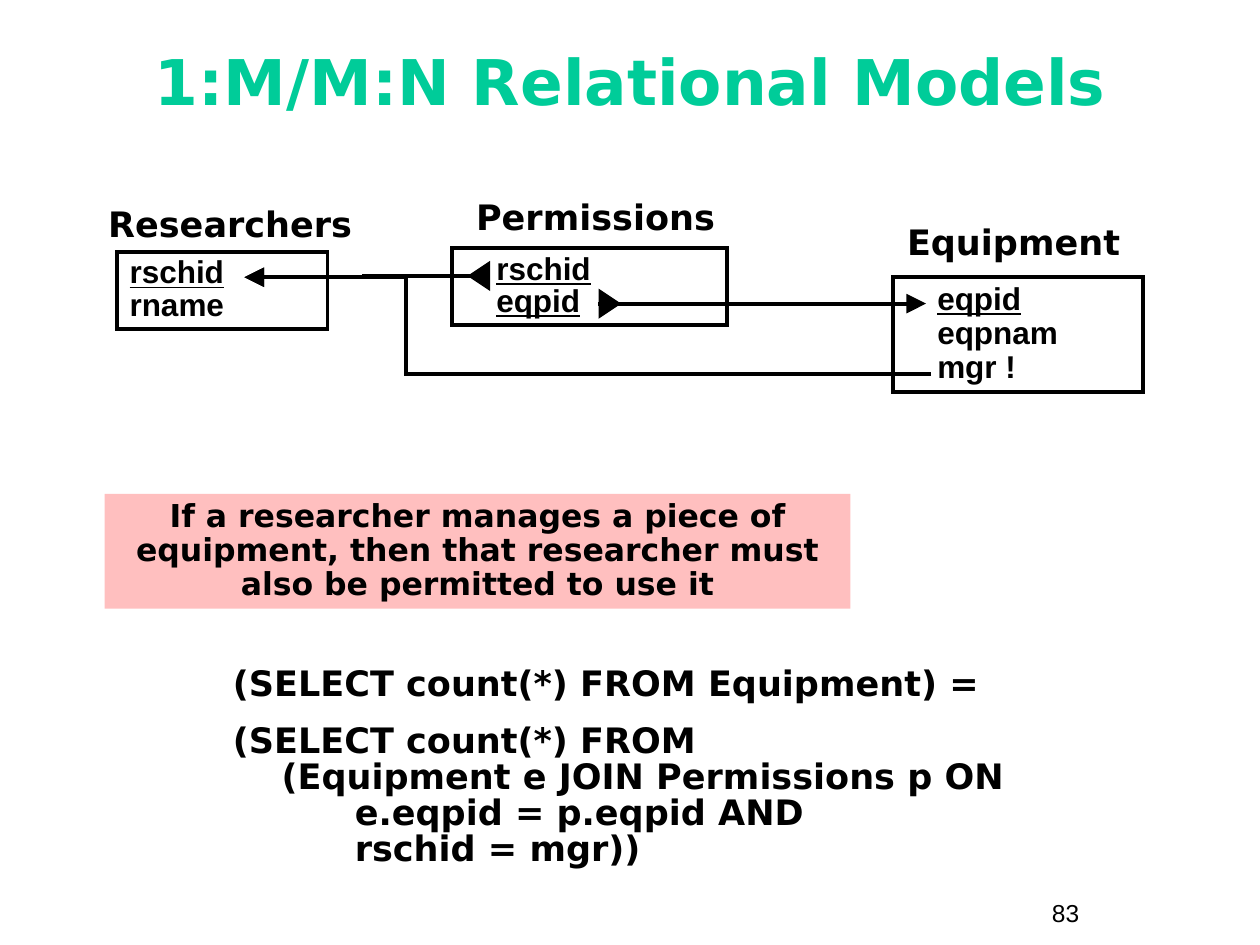
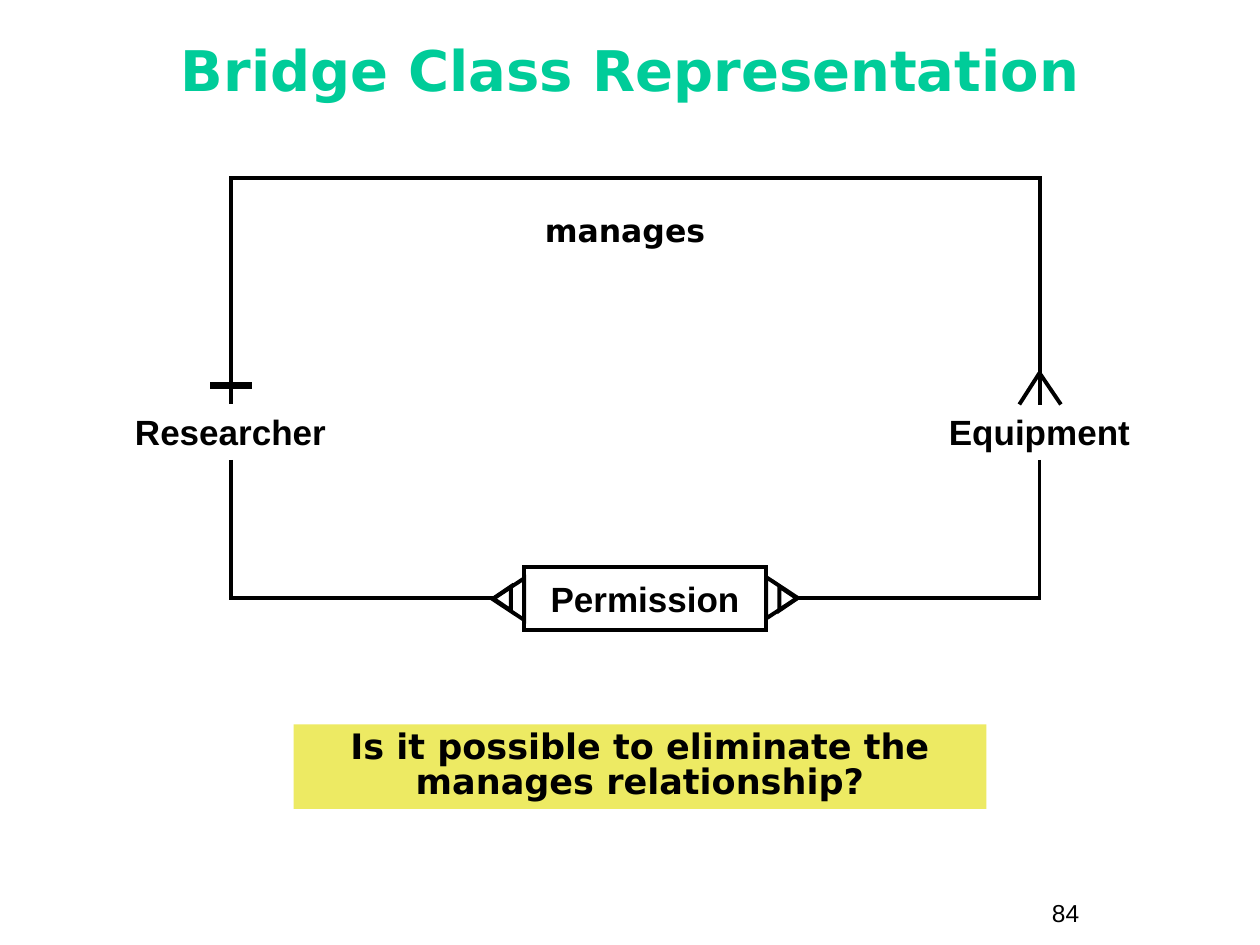
from lxml.etree import SubElement
from pptx import Presentation
from pptx.dml.color import RGBColor
from pptx.enum.shapes import MSO_CONNECTOR, MSO_SHAPE
from pptx.enum.text import MSO_ANCHOR, PP_ALIGN
from pptx.oxml.ns import qn
from pptx.util import Inches, Pt

BLACK, GREEN, PINK, YELLOW = "000000", "00CC99", "FFBFBF", "EDEA63"
SANS, DISPLAY = "Arial", "DejaVu Sans"
LINE_WIDTH = 2.25
KEYS = {"rschid", "eqpid"}

RELATIONS = [
    ("Researchers", (0.76, 1.56, 2.15, 0.44), (0.93, 2, 1.67, 0.61), 0, 0.85, ["rschid", "rname"]),
    ("Permissions", (3.68, 1.5, 2.51, 0.44), (3.59, 1.97, 2.18, 0.61), 0.25, 0.85, ["rschid", "eqpid"]),
    ("Equipment", (7.1, 1.7, 2.15, 0.44), (7.09, 2.2, 1.98, 0.91), 0.25, 0.9, ["eqpid", "eqpnam", "mgr !"]),
]
REFERENCES = [
    {"preset": "bentConnector3", "box": (1.94, 2.19, 1.9, 0.01), "rotation": 180, "flip": "flipV", "bend": 0.5},
    {"preset": "bentConnector2", "box": (4.75, 2.41, 2.6, 0)},
    {"preset": "bentConnector3", "box": (1.94, 2.2, 5.45, 0.77), "rotation": 180, "bend": 0.765},
]
REFERENCE_STARTS = [((3.68, 2.1, 0.24, 0.18), 270), ((4.72, 2.32, 0.24, 0.18), 90)]
RULE = "If a researcher manages a piece of equipment, then that researcher must also be permitted to use it"
QUERY = [
    "(SELECT count(*) FROM Equipment) =",
    "(SELECT count(*) FROM\v"
    "    (Equipment e JOIN Permissions p ON\v"
    "          e.eqpid = p.eqpid AND\v"
    "          rschid = mgr))",
]

LEFT, RIGHT = 1.83, 8.25
NAME_TOP, NAME_HEIGHT = 3.21, 0.44
CLASSES = [("Researcher", LEFT, 2), ("Equipment", RIGHT, 1.84)]
ASSOCIATIONS = [
    {"preset": "bentConnector3", "box": (5.04, 0, 0.01, 6.42), "rotation": 270, "flip": "flipH", "bend": -182},
    {"preset": "bentConnector2", "box": (2.32, 3.16, 1.1, 2.08), "rotation": 270, "flip": "flipH"},
    {"preset": "bentConnector2", "box": (6.74, 3.24, 1.1, 1.92), "rotation": 90},
]
CROW_FOOT_TOP = (RIGHT, 2.96)
CROW_FOOT_ENDS = [(RIGHT - 0.16, NAME_TOP), (RIGHT + 0.17, NAME_TOP)]
ONE_MARK = [(LEFT - 0.16, 3.06), (LEFT + 0.17, 3.06)]
MANY_MARKS = [
    ((6.04, 4.62, 0.33, 0.25), 90),
    ((6.16, 4.68, 0.19, 0.14), 90),
    ((3.87, 4.63, 0.33, 0.25), 270),
    ((3.89, 4.68, 0.19, 0.14), 270),
]
QUESTION = "Is it possible to eliminate the manages relationship?"


def color(value):
    return RGBColor.from_string(value)


def write(shape, lines, size, font=DISPLAY, ink=BLACK, bold=True, align=PP_ALIGN.LEFT,
          spacing=1.0, gap=0, indent=0, anchor=MSO_ANCHOR.TOP, keys=()):
    frame = shape.text_frame
    frame.text = "\n".join(lines)
    frame.word_wrap = True
    frame.vertical_anchor = anchor
    for index, paragraph in enumerate(frame.paragraphs):
        paragraph.alignment = align
        paragraph.line_spacing = spacing
        if index:
            paragraph.space_before = Pt(gap)
        if indent:
            properties = paragraph._p.get_or_add_pPr()
            properties.set("marL", str(Inches(indent)))
            properties.set("indent", "0")
        for run in paragraph.runs:
            run.font.size = Pt(size)
            run.font.name = font
            run.font.bold = bold
            run.font.color.rgb = color(ink)
            run.font.underline = run.text in keys


def add_text(slide, box, lines, size, **style):
    shape = slide.shapes.add_textbox(*map(Inches, box))
    write(shape, lines, size, **style)


def draw_line(shape, width=LINE_WIDTH):
    shape.line.color.rgb = color(BLACK)
    shape.line.width = Pt(width)
    line = shape.line._get_or_add_ln()
    SubElement(line, qn("a:miter"), lim="800000")
    return line


def add_box(slide, box, fill=None, outlined=False, kind=MSO_SHAPE.RECTANGLE, rotation=0):
    shape = slide.shapes.add_shape(kind, *map(Inches, box))
    shape.shadow.inherit = False
    shape.rotation = rotation
    if fill:
        shape.fill.solid()
        shape.fill.fore_color.rgb = color(fill)
    else:
        shape.fill.background()
    if outlined:
        draw_line(shape)
    else:
        shape.line.fill.background()
    return shape


def add_line(slide, start, end, kind=MSO_CONNECTOR.STRAIGHT, width=LINE_WIDTH, arrow=False):
    connector = slide.shapes.add_connector(kind, *map(Inches, start + end))
    line = draw_line(connector, width)
    if arrow:
        SubElement(line, qn("a:tailEnd"), type="triangle", w="lg", len="lg")
    SubElement(connector._element.spPr, qn("a:effectLst"))
    return connector


def add_elbow(slide, preset, box, rotation=0, flip=None, bend=None, arrow=False):
    left, top, width, height = box
    connector = add_line(slide, (left, top), (left + width, top + height),
                         MSO_CONNECTOR.ELBOW, arrow=arrow)
    properties = connector._element.spPr
    frame = properties.find(qn("a:xfrm"))
    frame.set("rot", str(rotation * 60000))
    if flip:
        frame.set(flip, "1")
    geometry = properties.find(qn("a:prstGeom"))
    geometry.set("prst", preset)
    if bend is not None:
        adjustments = geometry.find(qn("a:avLst"))
        SubElement(adjustments, qn("a:gd"), name="adj1", fmla=f"val {round(bend * 100000)}")


def add_slide(presentation, title, title_top, title_height, title_size, number):
    slide = presentation.slides.add_slide(presentation.slide_layouts[6])
    add_text(slide, (0.34, title_top, 9.33, title_height), [title], title_size,
             ink=GREEN, align=PP_ALIGN.CENTER, anchor=MSO_ANCHOR.MIDDLE)
    add_text(slide, (8.25, 7.08, 0.92, 0.34), [str(number)], 14, font=SANS, bold=False)
    return slide


def build_relational_models(presentation):
    slide = add_slide(presentation, "1:M/M:N Relational Models", 0.18, 0.92, 36, 83)
    for name, name_box, column_box, indent, spacing, columns in RELATIONS:
        add_text(slide, name_box, [name], 20)
        write(add_box(slide, column_box, outlined=True), columns, 18, font=SANS,
              spacing=spacing, indent=indent, keys=KEYS)
    for reference in REFERENCES:
        add_elbow(slide, **reference, arrow=True)
    for box, rotation in REFERENCE_STARTS:
        add_box(slide, box, BLACK, kind=MSO_SHAPE.ISOSCELES_TRIANGLE, rotation=rotation)
    write(add_box(slide, (0.83, 3.92, 5.92, 0.91), PINK), [RULE], 18,
          align=PP_ALIGN.CENTER, spacing=0.9)
    add_text(slide, (1.75, 5.25, 7.08, 1.69), QUERY, 20, spacing=0.85, gap=12.5)


def build_bridge_class(presentation):
    slide = add_slide(presentation, "Bridge Class Representation", 0.17, 0.75, 32, 84)
    for name, center, width in CLASSES:
        add_text(slide, (center - width / 2, NAME_TOP, width, NAME_HEIGHT), [name], 20,
                 font=SANS, align=PP_ALIGN.CENTER)
    for association in ASSOCIATIONS:
        add_elbow(slide, **association)
    for end in CROW_FOOT_ENDS:
        add_line(slide, CROW_FOOT_TOP, end)
    add_line(slide, *ONE_MARK, width=2 * LINE_WIDTH)
    add_text(slide, (4, 1.67, 1.92, 0.36), ["manages"], 18, align=PP_ALIGN.CENTER, spacing=0.85)
    write(add_box(slide, (4.16, 4.5, 1.92, 0.5), outlined=True), ["Permission"], 20,
          font=SANS, align=PP_ALIGN.CENTER, anchor=MSO_ANCHOR.MIDDLE)
    for box, rotation in MANY_MARKS:
        add_box(slide, box, outlined=True, kind=MSO_SHAPE.ISOSCELES_TRIANGLE, rotation=rotation)
    write(add_box(slide, (2.33, 5.75, 5.5, 0.67), YELLOW), [QUESTION], 20,
          align=PP_ALIGN.CENTER, spacing=0.85)


def main():
    presentation = Presentation()
    presentation.slide_width = Inches(10)
    presentation.slide_height = Inches(7.5)
    build_relational_models(presentation)
    build_bridge_class(presentation)
    presentation.save("out.pptx")


if __name__ == "__main__":
    main()
